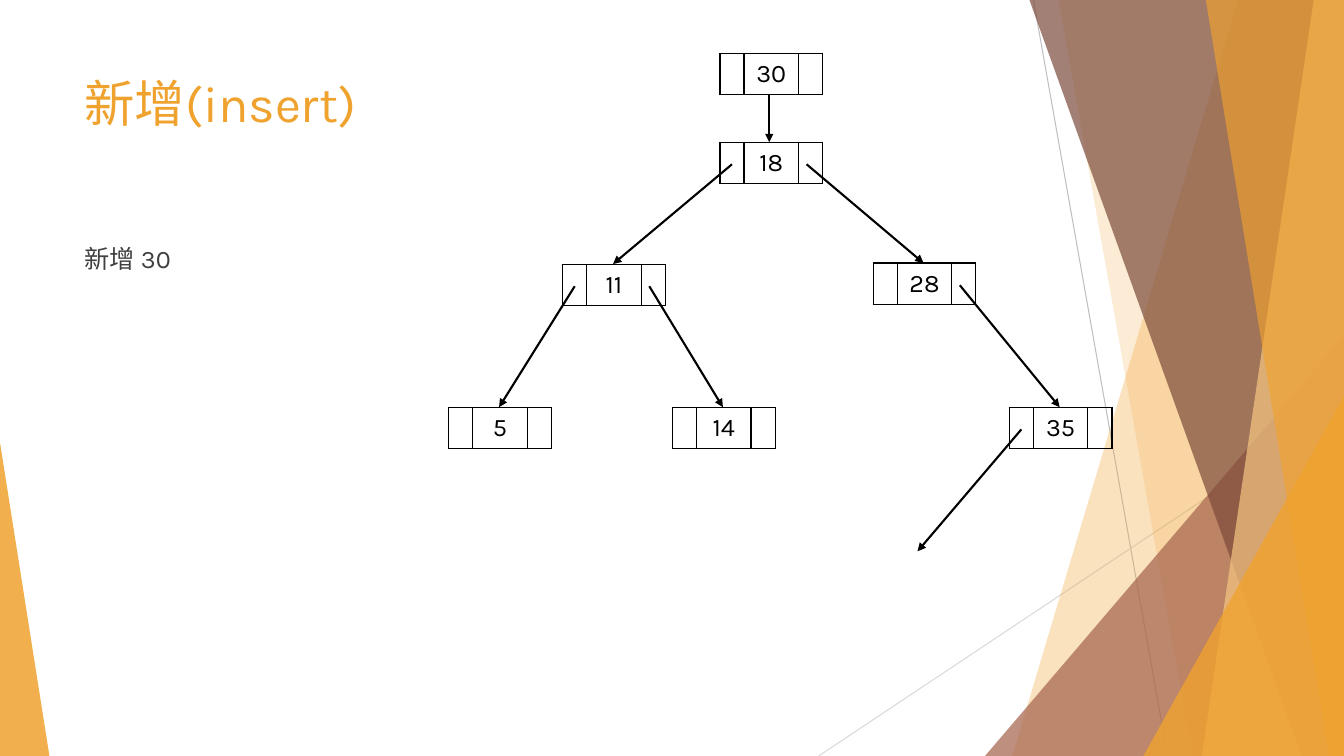
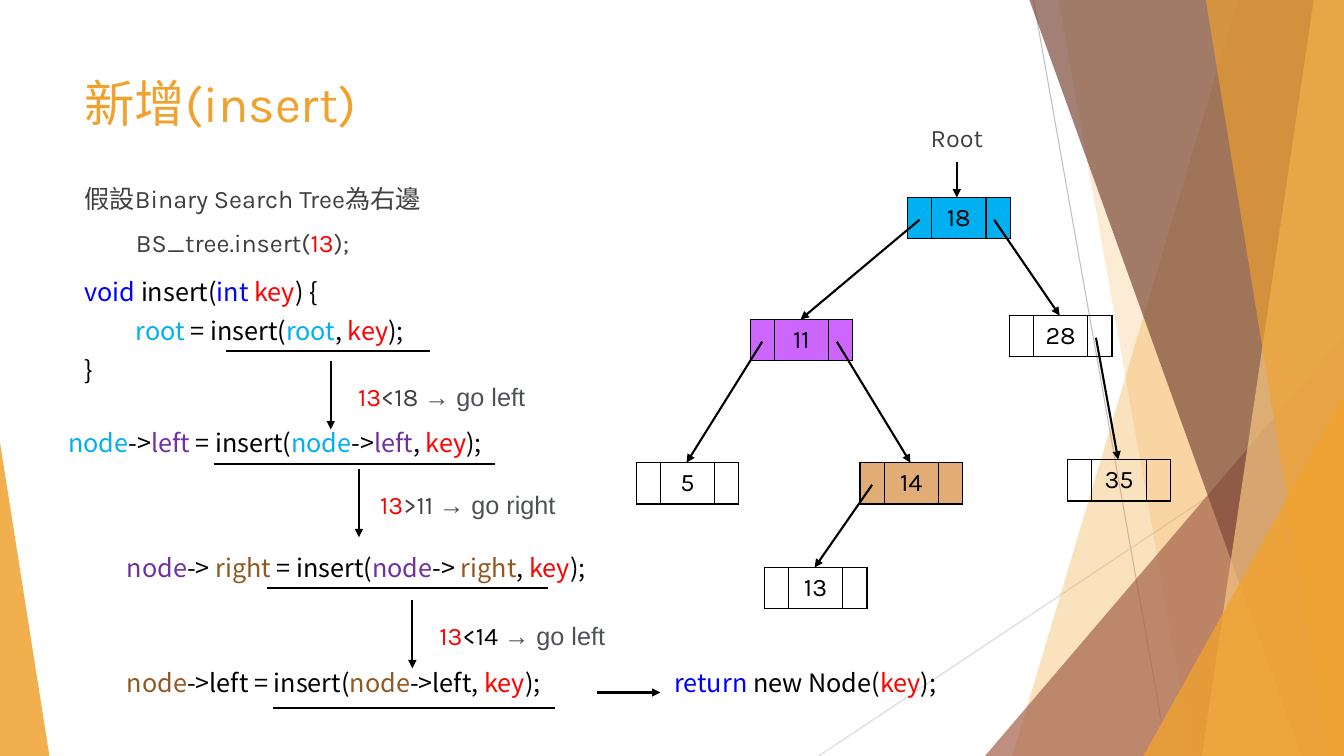
from lxml.etree import SubElement
from pptx import Presentation
from pptx.dml.color import RGBColor
from pptx.enum.shapes import MSO_CONNECTOR, MSO_SHAPE
from pptx.enum.text import MSO_ANCHOR, PP_ALIGN
from pptx.oxml.ns import qn
from pptx.util import Inches, Pt

# Shared style
BODY_FONT, CODE_FONT, NOTE_FONT = "Karla", "Noto Sans CJK TC", "Arial"
ORANGE, RUST, BROWN, SAND = "F0A22E", "A5644E", "7C4B3B", "F6C782"
BLACK, GRAY, NOTE_GRAY = "000000", "404040", "4D5156"
RED, BLUE, SKY, PURPLE, OCHRE = "FF0000", "0000FF", "00B0F0", "7030A0", "91581F"
VIOLET, TAN = "CC66FF", "E2AC76"
SLIDE_W, SLIDE_H = 13.33, 7.5
CODE_SPACING = 0.83

# Tree node geometry: left link, key, right link
NODE_COLS, NODE_H = (0.23, 0.54, 0.23), 0.41
NODE_MID = sum(NODE_COLS) / 2
LINK_X = {"left": 0.12, "right": 0.86}
LINK_Y = 0.22


def color(hex_string):
    return RGBColor.from_string(hex_string)


def write_runs(paragraph, runs, size, font, default_color):
    """Each run is plain text, or (text, color), or (text, color, font)."""
    for part in [runs] if isinstance(runs, str) else runs:
        text, run_color, run_font = ((part,) if isinstance(part, str) else part) + (
            (default_color, font) if isinstance(part, str)
            else (font,) * (3 - len(part)))
        run = paragraph.add_run()
        run.text = text
        run.font.size = Pt(size)
        run.font.name = run_font
        run.font.color.rgb = color(run_color)
        SubElement(run.font._element, qn("a:ea")).set("typeface", run_font)


def add_text(slide, paragraphs, left, top, width, height, *, size=18, font=BODY_FONT,
             text_color=GRAY, align=PP_ALIGN.LEFT, space_before=10,
             line_spacing=None, indents=()):
    box = slide.shapes.add_textbox(*map(Inches, (left, top, width, height)))
    frame = box.text_frame
    frame.word_wrap = True
    frame.vertical_anchor = MSO_ANCHOR.TOP
    for index, runs in enumerate(paragraphs):
        paragraph = frame.add_paragraph() if index else frame.paragraphs[0]
        paragraph.alignment = align
        paragraph.space_before = Pt(space_before)
        if line_spacing:
            paragraph.line_spacing = line_spacing
        if index < len(indents):
            paragraph._p.get_or_add_pPr().set("marL", str(Inches(indents[index])))
        write_runs(paragraph, runs, size, font, text_color)


def add_code(slide, paragraphs, left, top, width, height, **layout):
    add_text(slide, paragraphs, left, top, width, height, font=CODE_FONT,
             text_color=BLACK, line_spacing=CODE_SPACING, **layout)


def add_line(slide, start, end, line_color=BLACK, weight=1.5, arrow=False):
    line = slide.shapes.add_connector(
        MSO_CONNECTOR.STRAIGHT, *map(Inches, (*start, *end)))
    line.line.color.rgb = color(line_color)
    line.line.width = Pt(weight)
    if arrow:
        SubElement(line.line._get_or_add_ln(), qn("a:tailEnd")).set("type", "triangle")
    SubElement(line._element.spPr, qn("a:effectLst"))


def add_arrow(slide, start, end):
    add_line(slide, start, end, arrow=True)


# Backdrop
def paint(shape, fill_color, opacity):
    shape.shadow.inherit = False
    shape.line.fill.background()
    shape.fill.solid()
    shape.fill.fore_color.rgb = color(fill_color)
    rgb = next(shape._element.spPr.iter(qn("a:srgbClr")))
    SubElement(rgb, qn("a:alpha")).set("val", str(opacity * 1000))


def add_band(slide, top_x, bottom_x, fill_color, opacity):
    """Band between a slanted left edge and the right side of the slide."""
    corners = [(Inches(x), Inches(y)) for x, y in (
        (top_x, 0), (SLIDE_W, 0), (SLIDE_W, SLIDE_H), (bottom_x, SLIDE_H))]
    outline = slide.shapes.build_freeform(*corners[0], scale=1.0)
    outline.add_line_segments(corners[1:], close=True)
    paint(outline.convert_to_shape(), fill_color, opacity)


def add_wedge(slide, left, top, width, apex, fill_color, opacity):
    """Triangle that stands on the bottom of the slide."""
    wedge = slide.shapes.add_shape(
        MSO_SHAPE.ISOSCELES_TRIANGLE, *map(Inches, (left, top, width, SLIDE_H - top)))
    wedge.adjustments[0] = apex
    paint(wedge, fill_color, opacity)


def add_backdrop(slide):
    add_line(slide, (10.25, 0), (11.58, SLIDE_H), "BFBFBF", 0.75)
    add_line(slide, (SLIDE_W, 4.03), (8.12, SLIDE_H), "D9D9D9", 0.75)
    add_band(slide, 12.28, 10.04, ORANGE, 30)
    add_band(slide, 10.5, 11.83, ORANGE, 20)
    add_wedge(slide, 9.77, 3.33, 3.56, 1, RUST, 72)
    add_band(slide, 10.21, 12.91, BROWN, 70)
    add_band(slide, 13.03, 11.92, SAND, 70)
    add_band(slide, 11.96, 13.18, ORANGE, 65)
    add_wedge(slide, 11.34, 3.93, 1.99, 1, ORANGE, 80)
    add_wedge(slide, 0, 4.39, 0.49, 0, ORANGE, 85)


def new_slide(deck, title):
    slide = deck.slides.add_slide(deck.slide_layouts[6])
    add_backdrop(slide)
    add_text(slide, [title], 0.74, 0.67, 9.4, 0.94, size=36, text_color=ORANGE,
             space_before=0)
    return slide


# Binary search tree
def add_cell_borders(cell):
    properties = cell._tc.get_or_add_tcPr()
    for side in ("lnL", "lnR", "lnT", "lnB"):
        border = SubElement(properties, qn(f"a:{side}"), w=str(Pt(1)))
        fill = SubElement(border, qn("a:solidFill"))
        SubElement(fill, qn("a:srgbClr")).set("val", BLACK)


def add_node(slide, key, left, top, fill_color=None):
    node = slide.shapes.add_table(
        1, 3, *map(Inches, (left, top, sum(NODE_COLS), NODE_H))).table
    node.first_row = node.horz_banding = False
    node.rows[0].height = Inches(NODE_H)
    for column, width in enumerate(NODE_COLS):
        node.columns[column].width = Inches(width)
        cell = node.cell(0, column)
        cell.vertical_anchor = MSO_ANCHOR.MIDDLE
        add_cell_borders(cell)
        if fill_color:
            cell.fill.solid()
            cell.fill.fore_color.rgb = color(fill_color)
        else:
            cell.fill.background()
    paragraph = node.cell(0, 1).text_frame.paragraphs[0]
    paragraph.alignment = PP_ALIGN.CENTER
    write_runs(paragraph, str(key), 18, BODY_FONT, BLACK)


def link_start(position, side):
    return position[0] + LINK_X[side], position[1] + LINK_Y


def add_tree(slide, positions, links, fills):
    for key, position in positions.items():
        add_node(slide, key, *position, fills.get(key))
    for parent, side, child in links:
        left, top = positions[child]
        add_arrow(slide, link_start(positions[parent], side), (left + NODE_MID, top))


BASE_LINKS = [(18, "left", 11), (18, "right", 28), (11, "left", 5),
              (11, "right", 14), (28, "right", 35)]


def build_insert_30(deck):
    slide = new_slide(deck, "新增(insert)")
    add_text(slide, ["新增 30"], 0.74, 2.36, 1.85, 0.45)
    positions = {18: (7.14, 1.41), 11: (5.58, 2.62), 28: (8.66, 2.61),
                 5: (4.45, 4.04), 14: (6.67, 4.04), 35: (10.01, 4.04),
                 30: (7.14, 0.53)}
    add_tree(slide, positions, BASE_LINKS, {})

    # New key starts at the root and ends under 35
    add_arrow(slide, (7.63, 0.93), (7.63, 1.41))
    add_arrow(slide, link_start(positions[35], "left"), (9.1, 5.47))


def build_insert_13(deck):
    slide = new_slide(deck, "新增(insert)")
    key = ("key", RED)

    # Call and function body
    add_text(slide, ["假設Binary Search Tree為右邊",
                     ["BS_tree.insert(", ("13", RED), ");"]],
             0.74, 1.77, 5.35, 0.83, indents=(0, 0.51))
    add_code(slide, [[("void", BLUE), " insert(", ("int ", BLUE), key, ") {"],
                     [("root", SKY), " = insert(", ("root", SKY), ", ", key, ");"],
                     "}"],
             0.74, 2.74, 5.84, 1.2, indents=(0, 0.51))

    # Tree with the search route coloured
    positions = {18: (9, 1.96), 11: (7.44, 3.17), 28: (10.01, 3.13),
                 5: (6.31, 4.59), 14: (8.53, 4.59), 35: (10.59, 4.56),
                 13: (7.58, 5.63)}
    add_tree(slide, positions, BASE_LINKS + [(14, "left", 13)],
             {18: SKY, 11: VIOLET, 14: TAN})
    add_text(slide, ["Root"], 9.03, 1.16, 0.92, 0.45, align=PP_ALIGN.CENTER)
    add_arrow(slide, (9.49, 1.61), (9.49, 1.96))

    # Comparison at each level
    for arrow_x, arrow_top, note_left, comparison, compare_color, direction in (
            (3.28, 3.58, 3.25, "<18 ", GRAY, "left"),
            (3.56, 4.65, 3.51, ">11 ", GRAY, "right"),
            (4.09, 5.95, 4.05, "<14 ", BLACK, "left")):
        add_arrow(slide, (arrow_x, arrow_top), (arrow_x, arrow_top + 0.68))
        add_text(slide, [[("13", RED), (comparison, compare_color),
                          (f"→ go {direction}", NOTE_GRAY, NOTE_FONT)]],
                 note_left, arrow_top + 0.15, 2.26, 0.45, align=PP_ALIGN.CENTER)

    # Recursive calls
    for runs, left, top, width in (
            ([("node", SKY), "->", ("left ", PURPLE), "= insert(", ("node", SKY),
              "->", ("left", PURPLE), ", ", key, ");"], 0.58, 4.24, 4.86),
            ([("node", PURPLE), "->", (" right ", OCHRE), "= insert(",
              ("node", PURPLE), "->", (" right", OCHRE), ", ", key, ");"],
             1.16, 5.48, 5.43),
            ([("node", OCHRE), "->left = insert(", ("node", OCHRE), "->left, ",
              key, ");"], 1.16, 6.62, 5.01),
            ([("return", BLUE), " new Node(", key, ");"], 6.59, 6.62, 2.84)):
        add_code(slide, [runs], left, top, width, 0.4, space_before=0)
    add_arrow(slide, (5.92, 6.87), (6.55, 6.87))

    # Underlines of the calls
    for left, y, width in ((2.24, 3.48, 2.03), (2.12, 4.6, 2.79),
                           (2.65, 5.83, 2.79), (2.71, 7.02, 2.79)):
        add_line(slide, (left, y), (left + width, y))


def main():
    deck = Presentation()
    deck.slide_width, deck.slide_height = Inches(SLIDE_W), Inches(SLIDE_H)
    build_insert_30(deck)
    build_insert_13(deck)
    deck.save("out.pptx")


if __name__ == "__main__":
    main()
